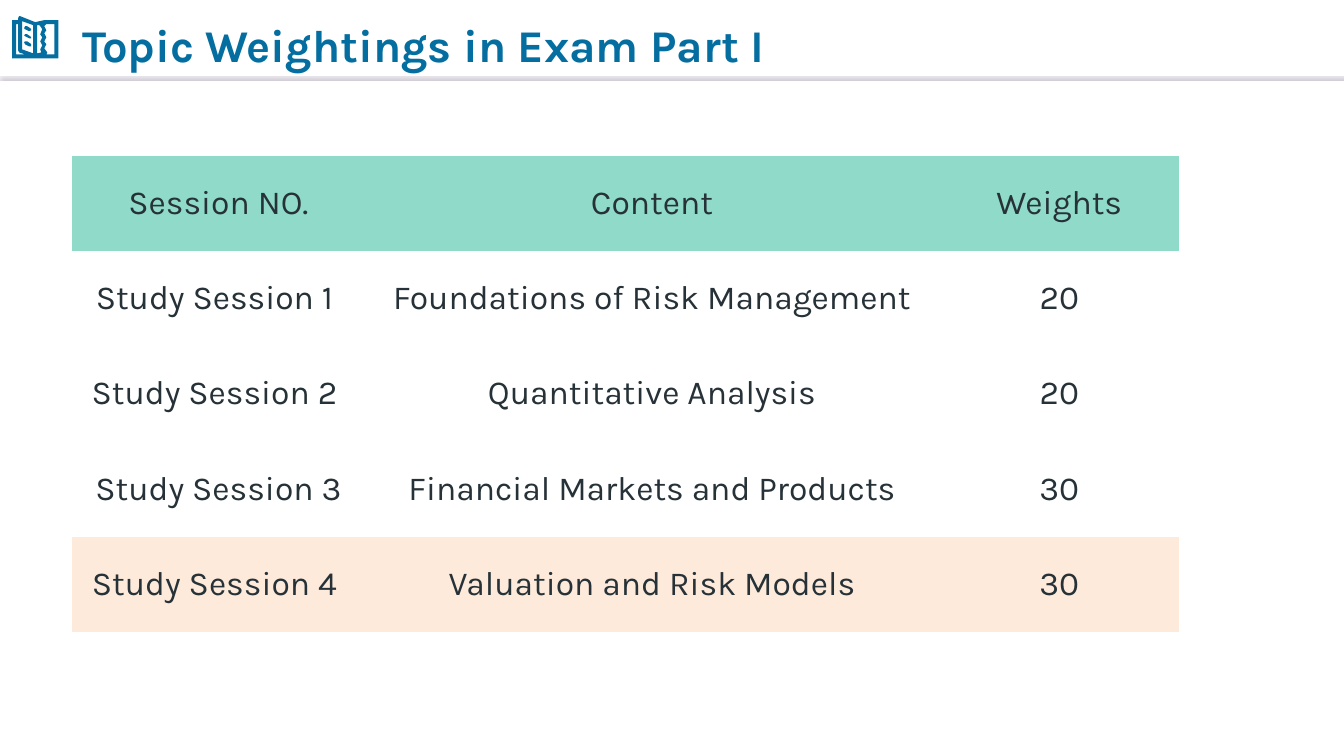
from dataclasses import dataclass

from lxml import etree
from pptx import Presentation
from pptx.dml.color import RGBColor as RGB
from pptx.enum.shapes import MSO_CONNECTOR as Connector
from pptx.enum.text import MSO_ANCHOR as Anchor, PP_ALIGN as Align
from pptx.oxml.ns import qn
from pptx.slide import Slide
from pptx.text.text import TextFrame
from pptx.util import Cm, Pt

FONT = "Karla"
COLORS = {
    "blue": "056EA0",
    "text": "263238",
    "header": "8FDAC8",
    "highlight": "FDEADA",
    "white": "FFFFFF",
    "shadow": "BCB4C4",
}
NO_GRID_STYLE = "{2D5ABB26-0587-4C30-8999-92F81FD0307C}"
SLIDE_W, SLIDE_H = Cm(33.87), Cm(19.05)
LEFT = Cm(1.82)
COLUMN_WIDTHS = (Cm(7.37), Cm(14.48), Cm(6.05))
ROW_H = Cm(2.4)
HANGING = Cm(0.95)
ICON_UNIT = Cm(2.54) / 100


@dataclass
class Row:
    session: str
    content: str
    weight: str
    fill: str | None = None


ROWS = [
    Row("Session NO.", "Content", "Weights", "header"),
    Row("Study Session 1 ", "Foundations of Risk Management", "20"),
    Row("Study Session 2 ", "Quantitative Analysis", "20"),
    Row("Study Session 3", "Financial Markets and Products", "30", "white"),
    Row("Study Session 4 ", "Valuation and Risk Models", "30", "highlight"),
]

Contour = list[tuple[float, float]]

COVER: Contour = [
    (20.5, 16), (35, 22), (44, 20), (56, 20), (57.5, 20.5), (58, 22),
    (58, 56), (57.5, 57.5), (56, 58), (14, 58), (12.5, 57.5), (12, 56),
    (12, 22), (12.5, 20.5), (14, 20), (18, 20), (18, 18), (18.8, 16.5),
]
LEFT_EDGE: Contour = [(16, 24), (16, 54), (25, 54), (19, 52), (18, 50.5), (18, 24)]
LEFT_PAGE: Contour = [(22, 21), (22, 49), (33, 53), (33, 25)]
BOOKMARK: Contour = [
    (39, 25), (37, 25), (37, 53), (41, 52), (39.5, 49), (42, 45),
    (39.5, 41), (42, 37), (39.5, 33.5), (42, 29), (39.5, 26.5),
]
RIGHT_PAGE: Contour = [
    (46, 24), (44, 26), (46.5, 29.5), (44, 33), (46.5, 37), (44, 41),
    (46.5, 44.5), (44, 48), (47, 51.5), (46.5, 53.5), (45, 54), (54, 54), (54, 24),
]
TEXT_MARK: Contour = [
    (25, 26), (27, 26), (30, 28), (31.3, 29.2), (31, 30.5), (29, 31),
    (25, 29), (24, 27.5),
]
TEXT_MARKS = [[(x, y + 7.5 * i) for x, y in TEXT_MARK] for i in range(3)]


def write_text(tf: TextFrame, text: str, *, size: float, color: str,
               bold: bool = False, align: Align = Align.LEFT,
               hanging: int = 0, before_percent: int = 0) -> None:
    tf.word_wrap = True
    p = tf.paragraphs[0]
    p.alignment = align
    if hanging:
        p_pr = p._p.get_or_add_pPr()
        p_pr.set("marL", str(hanging))
        p_pr.set("indent", str(-hanging))
    if before_percent:
        before = etree.SubElement(p._p.get_or_add_pPr(), qn("a:spcBef"))
        etree.SubElement(before, qn("a:spcPct"), val=str(before_percent * 1000))
    r = p.add_run()
    r.text = text
    r.font.name = FONT
    r.font.size = Pt(size)
    r.font.bold = bold
    r.font.color.rgb = RGB.from_string(COLORS[color])


def draw_header_rule(s: Slide) -> None:
    y = Cm(1.87)
    rule = s.shapes.add_connector(Connector.STRAIGHT, 0, y, SLIDE_W, y)
    rule.line.color.rgb = RGB.from_string(COLORS["white"])
    rule.line.width = Pt(0.75)
    effects = etree.SubElement(rule._element.spPr, qn("a:effectLst"))
    shadow = etree.SubElement(effects, qn("a:outerShdw"), blurRad=str(Pt(1)),
                              dist=str(Pt(3)), dir="5400000", algn="t",
                              rotWithShape="0")
    etree.SubElement(shadow, qn("a:srgbClr"), val=COLORS["shadow"])


def draw_book(s: Slide, contours: list[Contour]) -> None:
    first, *others = contours
    builder = s.shapes.build_freeform(*first[0], scale=ICON_UNIT)
    builder.add_line_segments(first[1:], close=True)
    for contour in others:
        builder.move_to(*contour[0])
        builder.add_line_segments(contour[1:], close=True)
    sp = builder.convert_to_shape()
    sp.shadow.inherit = False
    sp.fill.solid()
    sp.fill.fore_color.rgb = RGB.from_string(COLORS["blue"])
    sp.line.fill.background()


def draw_title(s: Slide, text: str) -> None:
    tf = s.shapes.add_textbox(LEFT, Cm(0.32), Cm(18.69), Cm(1.6)).text_frame
    tf.vertical_anchor = Anchor.MIDDLE
    write_text(tf, text, size=32.4, color="blue", bold=True)


def draw_table(s: Slide, rows: list[Row]) -> None:
    frame = s.shapes.add_table(len(rows), len(COLUMN_WIDTHS), LEFT, Cm(3.92),
                               sum(COLUMN_WIDTHS), ROW_H * len(rows))
    table = frame.table
    table.first_row = table.horz_banding = False
    next(frame._element.iter(qn("a:tableStyleId"))).text = NO_GRID_STYLE
    for column, width in zip(table.columns, COLUMN_WIDTHS):
        column.width = width
    for i, row in enumerate(rows):
        table.rows[i].height = ROW_H
        for j, text in enumerate((row.session, row.content, row.weight)):
            cell = table.cell(i, j)
            cell.vertical_anchor = Anchor.MIDDLE
            if row.fill:
                cell.fill.solid()
                cell.fill.fore_color.rgb = RGB.from_string(COLORS[row.fill])
            else:
                cell.fill.background()
            write_text(cell.text_frame, text, size=24, color="text",
                       align=Align.CENTER, hanging=HANGING, before_percent=20)


def main() -> None:
    prs = Presentation()
    prs.slide_width, prs.slide_height = SLIDE_W, SLIDE_H
    s = prs.slides.add_slide(prs.slide_layouts[6])
    draw_header_rule(s)
    draw_book(s, [COVER, LEFT_EDGE, LEFT_PAGE, BOOKMARK, RIGHT_PAGE, *TEXT_MARKS])
    draw_title(s, "Topic Weightings in Exam Part I")
    draw_table(s, ROWS)
    prs.save("out.pptx")


if __name__ == "__main__":
    main()
